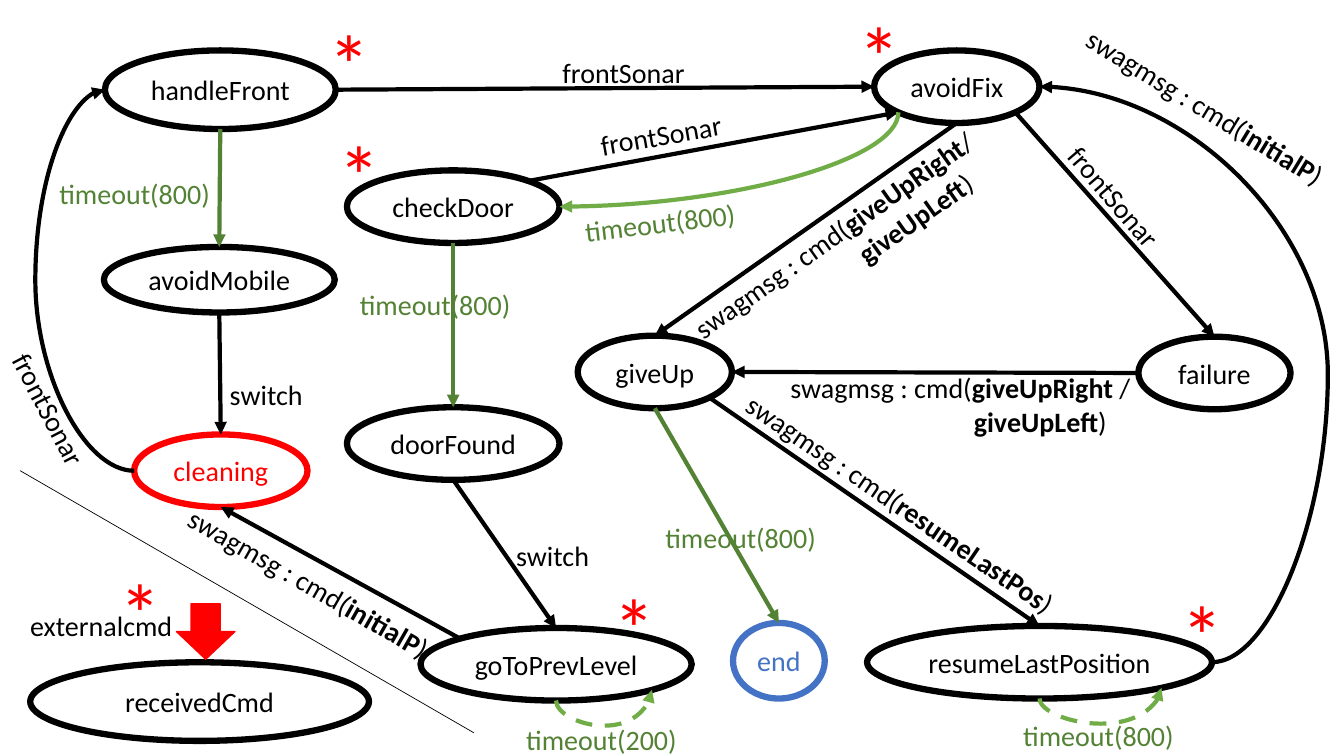
from math import cos, pi, sin

from lxml.etree import SubElement
from pptx import Presentation
from pptx.dml.color import RGBColor
from pptx.enum.dml import MSO_LINE
from pptx.enum.shapes import MSO_CONNECTOR, MSO_SHAPE
from pptx.enum.text import MSO_ANCHOR, MSO_AUTO_SIZE, PP_ALIGN
from pptx.oxml.ns import qn
from pptx.util import Inches, Pt

BLACK = RGBColor(0x00, 0x00, 0x00)
RED = RGBColor(0xFF, 0x00, 0x00)
BLUE = RGBColor(0x44, 0x72, 0xC4)
GREEN = RGBColor(0x54, 0x82, 0x35)
LIGHT_GREEN = RGBColor(0x70, 0xAD, 0x47)

ROWS = 75
TOP, TOP_LEFT, LEFT, BOTTOM_LEFT, BOTTOM, BOTTOM_RIGHT, RIGHT, TOP_RIGHT = range(8)

NODES = {
    "handleFront": (10.4, 5, 22.9, 7.8, BLACK),
    "avoidFix": (86.7, 5, 16.4, 7.2, BLACK),
    "cleaning": (13.3, 43.1, 17.2, 7.2, RED),
    "avoidMobile": (10.3, 24.5, 22.9, 6.5, BLACK),
    "failure": (112.9, 33.4, 15.1, 7.2, BLACK),
    "doorFound": (34.4, 40.4, 21.1, 7.2, BLACK),
    "goToPrevLevel": (41.7, 62.3, 26.9, 7.2, BLACK),
    "giveUp": (57.3, 33.3, 15.3, 7.2, BLACK),
    "resumeLastPosition": (86, 62.1, 34.2, 7.2, BLACK),
    "checkDoor": (34.4, 16.9, 21.1, 7.2, BLACK),
    "receivedCmd": (3, 65.7, 33.6, 7.8, BLACK),
    "end": (72.7, 61.8, 9.1, 7.5, BLUE),
}

ARROWS = [
    ("avoidFix", BOTTOM, "giveUp", TOP, BLACK),
    ("avoidMobile", BOTTOM, "cleaning", TOP, BLACK),
    ("handleFront", BOTTOM, "avoidMobile", TOP, GREEN),
    ("handleFront", RIGHT, "avoidFix", LEFT, BLACK),
    ("avoidFix", BOTTOM_RIGHT, "failure", TOP, BLACK),
    ("checkDoor", BOTTOM, "doorFound", TOP, GREEN),
    ("doorFound", BOTTOM, "goToPrevLevel", TOP, BLACK),
    ("giveUp", BOTTOM_RIGHT, "resumeLastPosition", TOP, BLACK),
    ("checkDoor", TOP_RIGHT, "avoidFix", BOTTOM_LEFT, BLACK),
    ("failure", LEFT, "giveUp", RIGHT, BLACK),
    ("giveUp", BOTTOM, "end", TOP, GREEN),
    ("goToPrevLevel", TOP_LEFT, "cleaning", BOTTOM, BLACK),
]

CURVES = [
    ("resumeLastPosition", BOTTOM, "resumeLastPosition", BOTTOM_RIGHT, LIGHT_GREEN, 90, True, -237300, True),
    ("goToPrevLevel", BOTTOM, "goToPrevLevel", BOTTOM_RIGHT, LIGHT_GREEN, 90, True, -237300, True),
    ("avoidFix", BOTTOM_LEFT, "checkDoor", RIGHT, LIGHT_GREEN, 90, False, None, False),
    ("resumeLastPosition", RIGHT, "avoidFix", RIGHT, BLACK, 0, True, -67300, False),
    ("cleaning", LEFT, "handleFront", LEFT, BLACK, 180, False, 337600, False),
]

LABELS = [
    ("switch", 21.8, 37, 9.9, 0, BLACK),
    ("switch", 50.2, 52.9, 11.1, 0, BLACK),
    ("timeout(800)", 4.9, 17, 18.1, 0, GREEN),
    ("timeout(800)", 34.7, 28, 17.5, 0, GREEN),
    ("timeout(800)", 57, 19.8, 18.2, 353.2, GREEN),
    ("timeout(800)", 100.5, 70.8, 17.3, 0, GREEN),
    ("timeout(200)", 51.2, 71.2, 17.5, 0, GREEN),
    ("timeout(800)", 65, 51.1, 17.1, 0, GREEN),
    ("frontSonar", 54.8, 5, 15.2, 0, BLACK),
    ("frontSonar", 58.5, 11.1, 15.2, 350.2, BLACK),
    ("frontSonar", 103.4, 17.4, 14.3, 49.4, BLACK),
    ("frontSonar", -2.5, 38.9, 15.2, 62.5, BLACK),
    ("swagmsg : cmd(|initialP|)", 16.1, 56, 30.2, 29.8, BLACK),
    ("swagmsg : cmd(|initialP|)", 105, 8.8, 30.2, 31.4, BLACK),
    ("swagmsg : cmd(|resumeLastPos|)", 70.2, 47.9, 38.5, 34.3, BLACK),
    ("externalcmd", 2, 59.9, 16.5, 0, BLACK),
]

TWO_LINE_LABELS = [
    ("swagmsg : cmd(|giveUpRight|/\n|giveUpLeft|)", 66, 20.5, 36.1, 324.7, 17.5),
    ("swagmsg : cmd(|giveUpRight |/\n|giveUpLeft|)", 77.4, 36.3, 35.8, 0, 18.2),
]

STARS = [(31.6, 0.6), (10.9, 55.1), (116.2, 57.3), (84.2, -0.1), (59.9, 56.6), (32.6, 11.7)]


class Diagram:
    font = {"name": "Calibri", "size": Pt(20), "bold": False}
    node_frame = {"margin_left": 0, "margin_right": 0, "vertical_anchor": MSO_ANCHOR.MIDDLE, "word_wrap": True}
    label_frame = {"margin_right": 0, "word_wrap": True, "auto_size": MSO_AUTO_SIZE.SHAPE_TO_FIT_TEXT}

    def __init__(self, prs):
        self.s = prs.slides.add_slide(prs.slide_layouts[6])
        self.cell = prs.slide_height / ROWS
        self.nodes = {}

    def grid(self, *values):
        return [round(v * self.cell) for v in values]

    def apply(self, target, values):
        for name, value in values.items():
            setattr(target, name, value)

    def add_runs(self, p, text, color, **extra):
        for i, part in enumerate(text.split("|")):
            if part:
                r = p.add_run()
                r.text = part
                self.apply(r.font, {**self.font, "bold": i % 2 == 1, **extra})
                r.font.color.rgb = color

    def shape(self, kind, box, color, width, filled=False):
        sp = self.s.shapes.add_shape(kind, *self.grid(*box))
        sp.shadow.inherit = False
        if filled:
            sp.fill.solid()
            sp.fill.fore_color.rgb = color
        else:
            sp.fill.background()
        sp.line.color.rgb = color
        sp.line.width = Pt(width)
        return sp

    def node(self, name, x, y, w, h, color):
        sp = self.shape(MSO_SHAPE.OVAL, (x, y, w, h), color, 4.5)
        self.apply(sp.text_frame, self.node_frame)
        p = sp.text_frame.paragraphs[0]
        p.alignment = PP_ALIGN.CENTER
        self.add_runs(p, name, color)
        self.nodes[name] = sp

    def label(self, text, x, y, w, rotation, color, indent=0, h=4.4, **extra):
        sp = self.s.shapes.add_textbox(*self.grid(x, y, w, h))
        sp.rotation = rotation
        tf = sp.text_frame
        self.apply(tf, self.label_frame)
        for i, line in enumerate(text.split("\n")):
            p = tf.add_paragraph() if i else tf.paragraphs[0]
            if i:
                p._p.get_or_add_pPr().set("marL", str(self.grid(indent)[0]))
            self.add_runs(p, line, color, **extra)

    def site(self, name, index):
        sp, angle = self.nodes[name], index * pi / 4
        return (sp.left + sp.width / 2 * (1 - sin(angle)), sp.top + sp.height / 2 * (1 - cos(angle)))

    def line(self, kind, begin, end, color, width, dashed=False, arrow=True):
        c = self.s.shapes.add_connector(kind, *[round(v) for v in (*begin, *end)])
        c.line.color.rgb = color
        c.line.width = Pt(width)
        if dashed:
            c.line.dash_style = MSO_LINE.DASH
        spPr = c._element.spPr
        if arrow:
            SubElement(spPr.find(qn("a:ln")), qn("a:tailEnd")).set("type", "triangle")
        SubElement(spPr, qn("a:effectLst"))
        return c

    def glue(self, c, source, i, target, j):
        holder = c._element.find(".//" + qn("p:cNvCxnSpPr"))
        for tag, name, index in (("a:stCxn", source, i), ("a:endCxn", target, j)):
            tie = SubElement(holder, qn(tag))
            tie.set("id", str(self.nodes[name].shape_id))
            tie.set("idx", str(index))

    def arrow(self, source, i, target, j, color):
        c = self.line(MSO_CONNECTOR.STRAIGHT, self.site(source, i), self.site(target, j), color, 3)
        self.glue(c, source, i, target, j)

    def curve(self, source, i, target, j, color, rotation, flipped, adjust, dashed):
        (x1, y1), (x2, y2) = self.site(source, i), self.site(target, j)
        w, h = abs(x2 - x1), abs(y2 - y1)
        if rotation == 90:
            w, h = h, w
        cx, cy = (x1 + x2) / 2, (y1 + y2) / 2
        corners = [(cx - w / 2, cy - h / 2), (cx + w / 2, cy + h / 2)]
        begin, end = reversed(corners) if flipped else corners
        c = self.line(MSO_CONNECTOR.CURVE, begin, end, color, 3, dashed)
        spPr = c._element.spPr
        spPr.find(qn("a:xfrm")).set("rot", str(rotation * 60000))
        geom = spPr.find(qn("a:prstGeom"))
        if adjust is None:
            geom.set("prst", "curvedConnector2")
        else:
            gd = SubElement(geom.find(qn("a:avLst")), qn("a:gd"))
            gd.set("name", "adj1")
            gd.set("fmla", f"val {adjust}")
        self.glue(c, source, i, target, j)


def main():
    prs = Presentation()
    prs.slide_width, prs.slide_height = Inches(13.33), Inches(7.5)
    d = Diagram(prs)
    for name, box in NODES.items():
        d.node(name, *box)
    for arrow in ARROWS:
        d.arrow(*arrow)
    for curve in CURVES:
        d.curve(*curve)
    d.line(MSO_CONNECTOR.STRAIGHT, d.grid(2, 46.7), d.grid(47, 72.7), BLACK, 0.5, arrow=False)
    d.shape(MSO_SHAPE.DOWN_ARROW, (17.5, 59.9, 5.8, 5.5), RED, 1, filled=True)
    for label in LABELS:
        d.label(*label)
    for text, x, y, w, rotation, indent in TWO_LINE_LABELS:
        d.label(text, x, y, w, rotation, BLACK, indent, h=7.7)
    for x, y in STARS:
        d.label("*", x, y, 5, 0, RED, h=11.1, size=Pt(60))
    prs.save("out.pptx")


if __name__ == "__main__":
    main()
